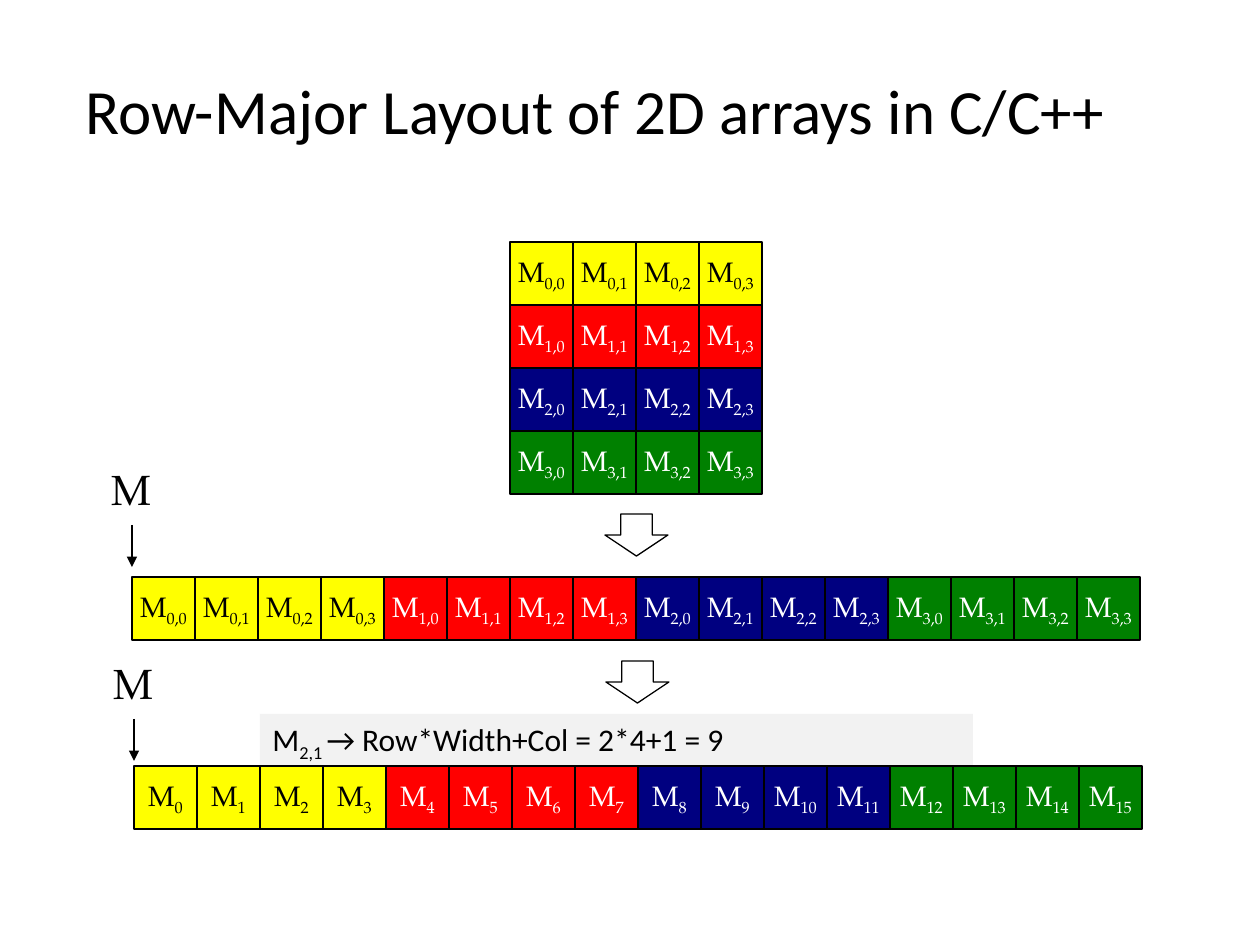
from dataclasses import dataclass

from lxml import etree
from pptx import Presentation
from pptx.dml.color import RGBColor
from pptx.enum.shapes import MSO_CONNECTOR, MSO_SHAPE
from pptx.enum.text import MSO_ANCHOR, MSO_AUTO_SIZE, PP_ALIGN
from pptx.oxml.ns import qn
from pptx.util import Emu, Pt

RECT, DOWN_ARROW = MSO_SHAPE.RECTANGLE, MSO_SHAPE.DOWN_ARROW
STRAIGHT = MSO_CONNECTOR.STRAIGHT
TOP, MIDDLE = MSO_ANCHOR.TOP, MSO_ANCHOR.MIDDLE
LEFT, CENTER = PP_ALIGN.LEFT, PP_ALIGN.CENTER
GROW = MSO_AUTO_SIZE.SHAPE_TO_FIT_TEXT

EMU_PER_INCH, PX_PER_INCH = 914400, 126
SANS, SERIF = "Calibri", "TeX Gyre Pagella"
BLACK, WHITE, GRAY = "000000", "FFFFFF", "F2F2F2"
N = 4  # matrix width and height
CELL = 63


@dataclass
class RowStyle:
    fill: str
    text: str


@dataclass
class Strip:
    left: int
    top: int
    flat_index: bool  # M9 instead of M2,1
    pointer_top: int
    arrow_left: int
    arrow_top: int


ROWS = [RowStyle("FFFF00", BLACK), RowStyle("FF0000", WHITE),
        RowStyle("000080", WHITE), RowStyle("008000", WHITE)]
STRIPS = [Strip(132, 577, False, 457, 605, 514),
          Strip(134, 766, True, 651, 606, 661)]


def px(n: int) -> Emu:
    return Emu(round(n * EMU_PER_INCH / PX_PER_INCH))


def rgb(color: str) -> RGBColor:
    return RGBColor.from_string(color)


def add_runs(p, parts: list[str], font: str, size: int, color: str) -> None:
    """Write the parts as runs; every second one is a subscript."""
    for i, part in enumerate(parts):
        r = p.add_run()
        r.text = part
        r.font.name, r.font.size = font, Pt(size)
        r.font.color.rgb = rgb(color)
        if i % 2:
            r._r.get_or_add_rPr().set("baseline", "-25000")


def add_box(s, kind, left: int, top: int, width: int, height: int,
            fill: str = "", outlined: bool = True):
    sp = s.shapes.add_shape(kind, px(left), px(top), px(width), px(height))
    sp.shadow.inherit = False
    if fill:
        sp.fill.solid()
        sp.fill.fore_color.rgb = rgb(fill)
    else:
        sp.fill.background()
    if outlined:
        sp.line.color.rgb = rgb(BLACK)
        sp.line.width = Pt(0.75)
    else:
        sp.line.fill.background()
    return sp


def add_cell(s, left: int, top: int, index: str, style: RowStyle) -> None:
    sp = add_box(s, RECT, left, top, CELL, CELL, style.fill)
    tf = sp.text_frame
    tf.word_wrap = False
    tf.vertical_anchor = MIDDLE
    p = tf.paragraphs[0]
    p.alignment = CENTER
    add_runs(p, ["M", index], SERIF, 16, style.text)


def add_pointer(s, strip: Strip) -> None:
    """The label M and its arrow to the first element of a strip."""
    sp = s.shapes.add_textbox(px(strip.left - 33), px(strip.pointer_top), px(66), px(63))
    tf = sp.text_frame
    tf.word_wrap = False
    tf.auto_size = GROW
    add_runs(tf.paragraphs[0], ["M"], SERIF, 24, BLACK)

    x, y = px(strip.left), strip.pointer_top + 68
    line = s.shapes.add_connector(STRAIGHT, x, px(y), x, px(y + 42))
    line.line.color.rgb = rgb(BLACK)
    line.line.width = Pt(0.75)
    etree.SubElement(line.line._get_or_add_ln(), qn("a:tailEnd"), type="triangle")
    etree.SubElement(line._element.spPr, qn("a:effectLst"))


def add_formula(s) -> None:
    sp = add_box(s, RECT, 260, 714, 713, 63, GRAY, outlined=False)
    tf = sp.text_frame
    tf.word_wrap = False
    tf.auto_size = GROW
    tf.vertical_anchor = TOP
    p = tf.paragraphs[0]
    p.alignment = LEFT
    add_runs(p, ["M", "2,1 ", "→ Row*Width+Col = 2*4+1 = 9"], SANS, 18, BLACK)


def add_title(s) -> None:
    sp = s.shapes.add_textbox(px(73), px(23), px(1086), px(183))
    tf = sp.text_frame
    tf.word_wrap = True
    tf.vertical_anchor = MIDDLE
    p = tf.paragraphs[0]
    p.line_spacing = 0.9
    add_runs(p, ["Row-Major Layout of 2D arrays in C/C++"], SANS, 36, BLACK)


def main() -> None:
    prs = Presentation()
    prs.slide_width, prs.slide_height = px(1260), px(945)
    s = prs.slides.add_slide(prs.slide_layouts[6])

    add_title(s)
    add_formula(s)

    # Matrix
    for row, style in enumerate(ROWS):
        for col in range(N):
            add_cell(s, 510 + col * CELL, 242 + row * CELL, f"{row},{col}", style)

    # Linear layouts, by row and column and then by flat index
    for strip in STRIPS:
        add_box(s, DOWN_ARROW, strip.arrow_left, strip.arrow_top, 63, 42)
        for i in range(N * N):
            row, col = divmod(i, N)
            index = str(i) if strip.flat_index else f"{row},{col}"
            add_cell(s, strip.left + i * CELL, strip.top, index, ROWS[row])
        add_pointer(s, strip)

    prs.save("out.pptx")


if __name__ == "__main__":
    main()
